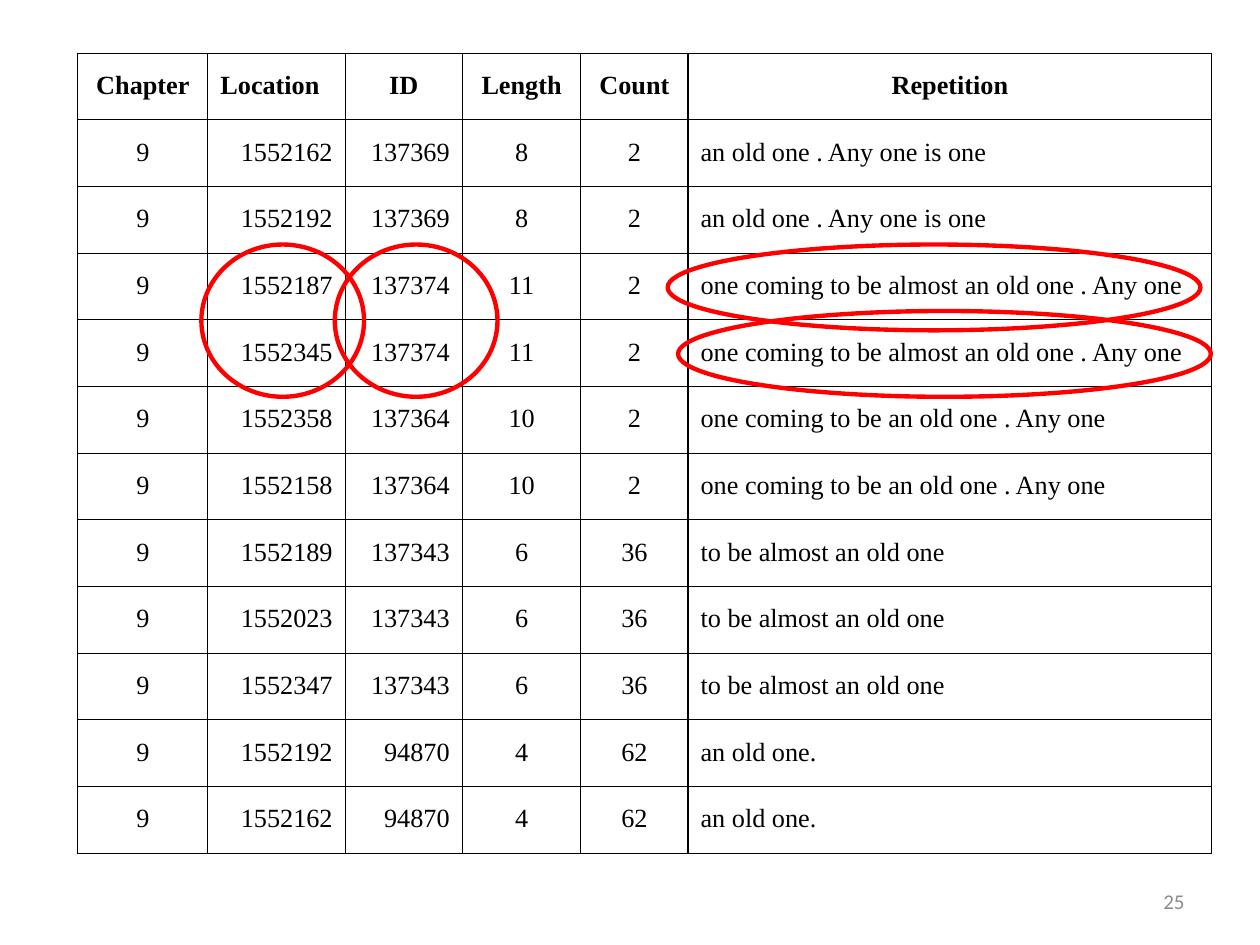
from lxml.etree import SubElement
from pptx import Presentation
from pptx.dml.color import RGBColor
from pptx.enum.shapes import MSO_SHAPE
from pptx.enum.text import MSO_ANCHOR, PP_ALIGN
from pptx.oxml.ns import qn
from pptx.util import Cm, Pt

LEFT, CENTER, RIGHT = PP_ALIGN.LEFT, PP_ALIGN.CENTER, PP_ALIGN.RIGHT

HEADERS = ["Chapter", "Location", "ID", "Length", "Count", "Repetition"]
HEADER_ALIGNMENTS = [CENTER, LEFT, CENTER, CENTER, CENTER, CENTER]
BODY_ALIGNMENTS = [CENTER, RIGHT, RIGHT, CENTER, CENTER, LEFT]
COLUMN_WIDTHS = [2.62, 2.77, 2.36, 2.39, 2.16, 10.56]
CHAPTER = "9"
REPETITIONS = [
    ("137369", "8", "2", "an old one . Any one is one", ["1552162", "1552192"]),
    ("137374", "11", "2", "one coming to be almost an old one . Any one", ["1552187", "1552345"]),
    ("137364", "10", "2", "one coming to be an old one . Any one", ["1552358", "1552158"]),
    ("137343", "6", "36", "to be almost an old one", ["1552189", "1552023", "1552347"]),
    ("94870", "4", "62", "an old one.", ["1552192", "1552162"]),
]
PHRASE_SIZE = (10.74, 1.73)
NUMBER_SIZE = (3.28, 3.07)
HIGHLIGHTS = [
    ((11.89, 3.86), PHRASE_SIZE),
    ((12.1, 5.2), PHRASE_SIZE),
    ((2.49, 3.86), NUMBER_SIZE),
    ((5.18, 3.86), NUMBER_SIZE),
]


def color(value):
    """Turn a hex string into a colour."""
    return RGBColor.from_string(value)


def write(paragraph, text, alignment, font_color, **formats):
    """Fill a paragraph with formatted text."""
    paragraph.text = text
    paragraph.alignment = alignment
    for name, value in formats.items():
        setattr(paragraph.font, name, value)
    paragraph.font.color.rgb = color(font_color)


def add_borders(cell, line_color, width):
    """Draw a solid line on every side of a cell."""
    properties = cell._tc.get_or_add_tcPr()
    for side in ("a:lnL", "a:lnR", "a:lnT", "a:lnB"):
        line = SubElement(properties, qn(side), w=str(Pt(width)))
        fill = SubElement(line, qn("a:solidFill"))
        SubElement(fill, qn("a:srgbClr"), val=line_color)


def format_cell(cell, text, alignment, bold):
    """Style one table cell and write its text."""
    add_borders(cell, "000000", 0.75)
    cell.fill.solid()
    cell.fill.fore_color.rgb = color("FFFFFF")
    cell.vertical_anchor = MSO_ANCHOR.MIDDLE
    paragraph = cell.text_frame.paragraphs[0]
    paragraph.line_spacing = 0.93
    write(paragraph, text, alignment, "000000",
          name="Times New Roman", size=Pt(15), bold=bold)


def add_repetition_table(slide, left, top, width, height):
    """Place the table of repeated phrases in its box."""
    rows = [HEADERS] + [
        [CHAPTER, location, identifier, length, count, phrase]
        for identifier, length, count, phrase, locations in REPETITIONS
        for location in locations
    ]
    table = slide.shapes.add_table(
        len(rows), len(HEADERS), Cm(left), Cm(top), Cm(width), Cm(height)).table
    for column, column_width in zip(table.columns, COLUMN_WIDTHS):
        column.width = Cm(column_width)
    for row_index, values in enumerate(rows):
        is_header = row_index == 0
        alignments = HEADER_ALIGNMENTS if is_header else BODY_ALIGNMENTS
        for column_index, (text, alignment) in enumerate(zip(values, alignments)):
            format_cell(table.cell(row_index, column_index), text, alignment, is_header)


def add_highlights(slide, left, top):
    """Circle the matching entries, measured from the table corner."""
    for (x, y), (width, height) in HIGHLIGHTS:
        shape = slide.shapes.add_shape(
            MSO_SHAPE.OVAL, Cm(left + x), Cm(top + y), Cm(width), Cm(height))
        shape.shadow.inherit = False
        shape.fill.background()
        shape.line.color.rgb = color("FF0000")
        shape.line.width = Pt(2.5)


def add_slide_number(slide, left, top, width, height):
    """Place the slide number in its box."""
    shape = slide.shapes.add_textbox(Cm(left), Cm(top), Cm(width), Cm(height))
    frame = shape.text_frame
    frame.word_wrap = True
    frame.vertical_anchor = MSO_ANCHOR.MIDDLE
    write(frame.paragraphs[0], "25", RIGHT, "8C8C8C", name="Calibri", size=Pt(12))


def main():
    """Build the slide and save it."""
    presentation = Presentation()
    presentation.slide_width, presentation.slide_height = Cm(25.4), Cm(19.05)
    slide = presentation.slides.add_slide(presentation.slide_layouts[6])
    left, top = 1.57, 1.07
    add_slide_number(slide, 18.2, 17.66, 5.93, 1.01)
    add_repetition_table(slide, left, top, sum(COLUMN_WIDTHS), 16.13)
    add_highlights(slide, left, top)
    presentation.save("out.pptx")


if __name__ == "__main__":
    main()
